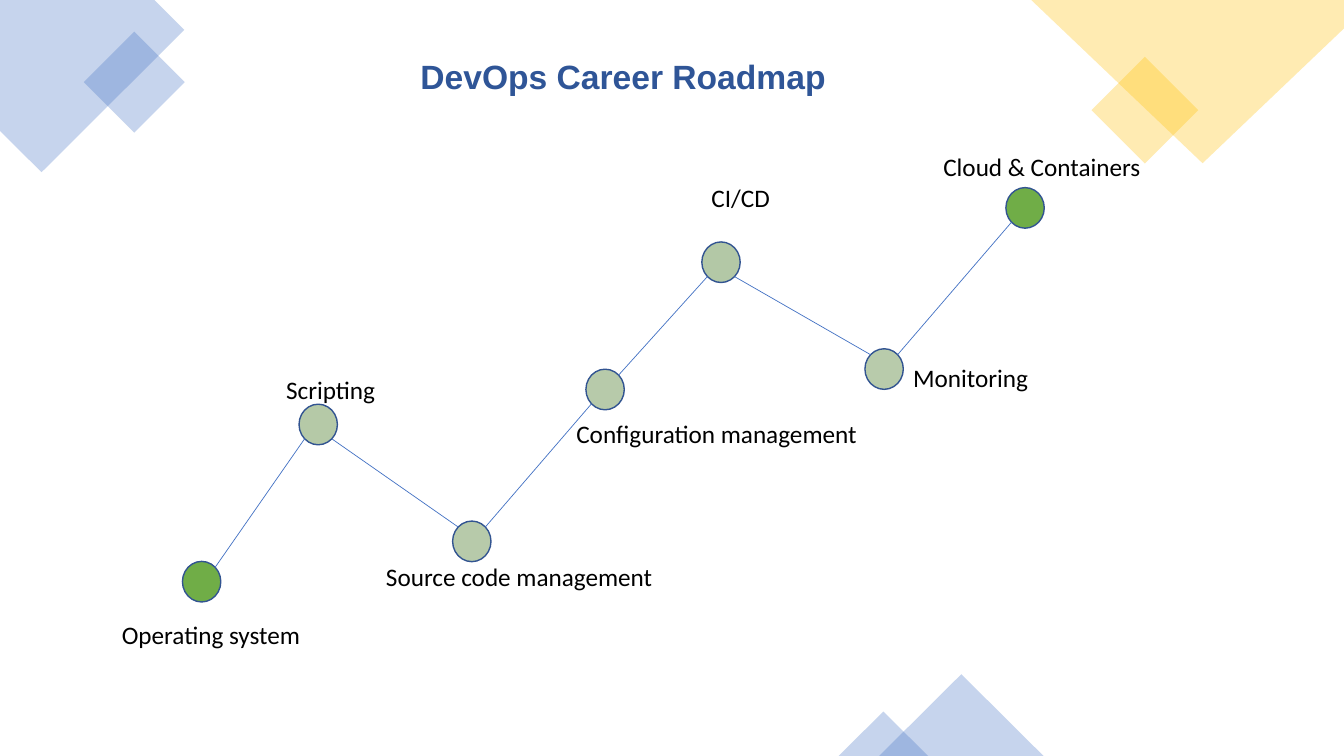
from itertools import pairwise
from lxml.etree import SubElement
from pptx import Presentation
from pptx.dml.color import RGBColor
from pptx.enum.shapes import MSO_CONNECTOR, MSO_SHAPE
from pptx.enum.text import MSO_AUTO_SIZE, PP_ALIGN
from pptx.oxml.ns import qn
from pptx.util import Pt

COLORS = {
    "blue": "4472C4", "gold": "FFC000", "green": "70AD47", "moss": "548235",
    "rim": "325491", "title": "2F5597", "text": "000000",
}
DOT_W, DOT_H = 27.4, 29.0
DIAG = 0.5 ** 0.5

# dot left, dot top, dot fill, opacity, label, label left, label top, label width
STEPS = [
    (130.3, 401, "green", 100, "Operating system", 79.9, 438.5, 143.3),
    (213.6, 288.7, "moss", 43, "Scripting", 197.3, 263.8, 79.2),
    (323.3, 372.2, "moss", 42, "Source code management", 268.6, 397.6, 207.4),
    (418.5, 263.7, "moss", 42, "Configuration management", 404.6, 295.4, 217.4),
    (501.3, 172.8, "moss", 44, "CI/CD", 501.1, 126.9, 64.1),
    (617.8, 249.1, "moss", 41, "Monitoring", 645.1, 254.9, 97.2),
    (718.5, 134, "green", 100, "Cloud & Containers", 666.7, 104.5, 157),
]


class Board:
    def __init__(self, slide, font="Calibri", size=18):
        self.shapes = slide.shapes
        self.font, self.size = font, size

    def paint(self, shape, color, alpha=100, rim=None):
        """Set fill, opacity in percent and an optional outline."""
        shape.shadow.inherit = False
        shape.fill.solid()
        shape.fill.fore_color.rgb = RGBColor.from_string(COLORS[color])
        if alpha < 100:
            tint = shape.fill._xPr.find(qn("a:solidFill"))[0]
            SubElement(tint, qn("a:alpha")).set("val", str(alpha * 1000))
        if rim:
            shape.line.color.rgb = RGBColor.from_string(COLORS[rim])
            shape.line.width = Pt(1)
        else:
            shape.line.fill.background()

    def shape(self, kind, left, top, width, height, color, alpha, rim=None, turn=0):
        item = self.shapes.add_shape(kind, Pt(left), Pt(top), Pt(width), Pt(height))
        item.rotation = turn
        self.paint(item, color, alpha, rim)

    def poly(self, points, color, alpha):
        spots = [(Pt(x), Pt(y)) for x, y in points]
        path = self.shapes.build_freeform(*spots[0])
        path.add_line_segments(spots[1:], close=True)
        self.paint(path.convert_to_shape(), color, alpha)

    def link(self, start, end):
        """Join two dots at the diagonal points that face each other."""
        dx = DOT_W / 2 * DIAG
        dy = DOT_H / 2 * DIAG * (1 if end[1] > start[1] else -1)
        x1, y1 = start[0] + DOT_W / 2 + dx, start[1] + DOT_H / 2 + dy
        x2, y2 = end[0] + DOT_W / 2 - dx, end[1] + DOT_H / 2 - dy
        line = self.shapes.add_connector(
            MSO_CONNECTOR.STRAIGHT, Pt(x1), Pt(y1), Pt(x2), Pt(y2))
        line.line.color.rgb = RGBColor.from_string(COLORS["blue"])
        line.line.width = Pt(0.5)
        SubElement(line._element.spPr, qn("a:effectLst"))

    def text(self, words, left, top, width, height=29.1, wrap=False):
        box = self.shapes.add_textbox(Pt(left), Pt(top), Pt(width), Pt(height))
        frame = box.text_frame
        frame.word_wrap = wrap
        frame.auto_size = MSO_AUTO_SIZE.SHAPE_TO_FIT_TEXT
        frame.text = words
        par = frame.paragraphs[0]
        font = par.runs[0].font
        font.name, font.size = self.font, Pt(self.size)
        font.color.rgb = RGBColor.from_string(COLORS["text"])
        return par

    def title(self, words, left, top, width, height):
        par = self.text(words, left, top, width, height, wrap=True)
        par.alignment = PP_ALIGN.CENTER
        font = par.runs[0].font
        font.name, font.size, font.bold = "Arial", Pt(24), True
        font.color.rgb = RGBColor.from_string(COLORS["title"])


def main():
    deck = Presentation()
    deck.slide_width, deck.slide_height = Pt(960), Pt(540)
    board = Board(deck.slides.add_slide(deck.slide_layouts[6]))

    board.poly([(110.2, 0), (0, 0), (0, 93.6), (29.7, 123), (131.6, 21.4)], "blue", 30)
    board.shape(MSO_SHAPE.RECTANGLE, 70.4, 33.2, 51, 51, "blue", 30, turn=45)
    board.shape(MSO_SHAPE.RECTANGLE, 790.8, 51.7, 54, 54, "gold", 30, turn=45)
    board.poly([(960, 0), (736.6, 0), (859, 116.6), (960, 20.3)], "gold", 30)
    board.shape(MSO_SHAPE.ISOSCELES_TRIANGLE, 628, 481.6, 117.4, 58.4, "blue", 30)
    board.shape(MSO_SHAPE.ISOSCELES_TRIANGLE, 599, 508.3, 64, 31.7, "blue", 30)

    for left, top, color, alpha, *_ in STEPS:
        board.shape(MSO_SHAPE.FLOWCHART_CONNECTOR, left, top, DOT_W, DOT_H,
                    color, alpha, rim="rim")
    for start, end in pairwise(STEPS):
        board.link(start, end)
    for *_, words, left, top, width in STEPS:
        board.text(words, left, top, width)
    board.title("DevOps Career Roadmap", 283.7, 36.2, 322.6, 36.4)

    deck.save("out.pptx")


if __name__ == "__main__":
    main()
